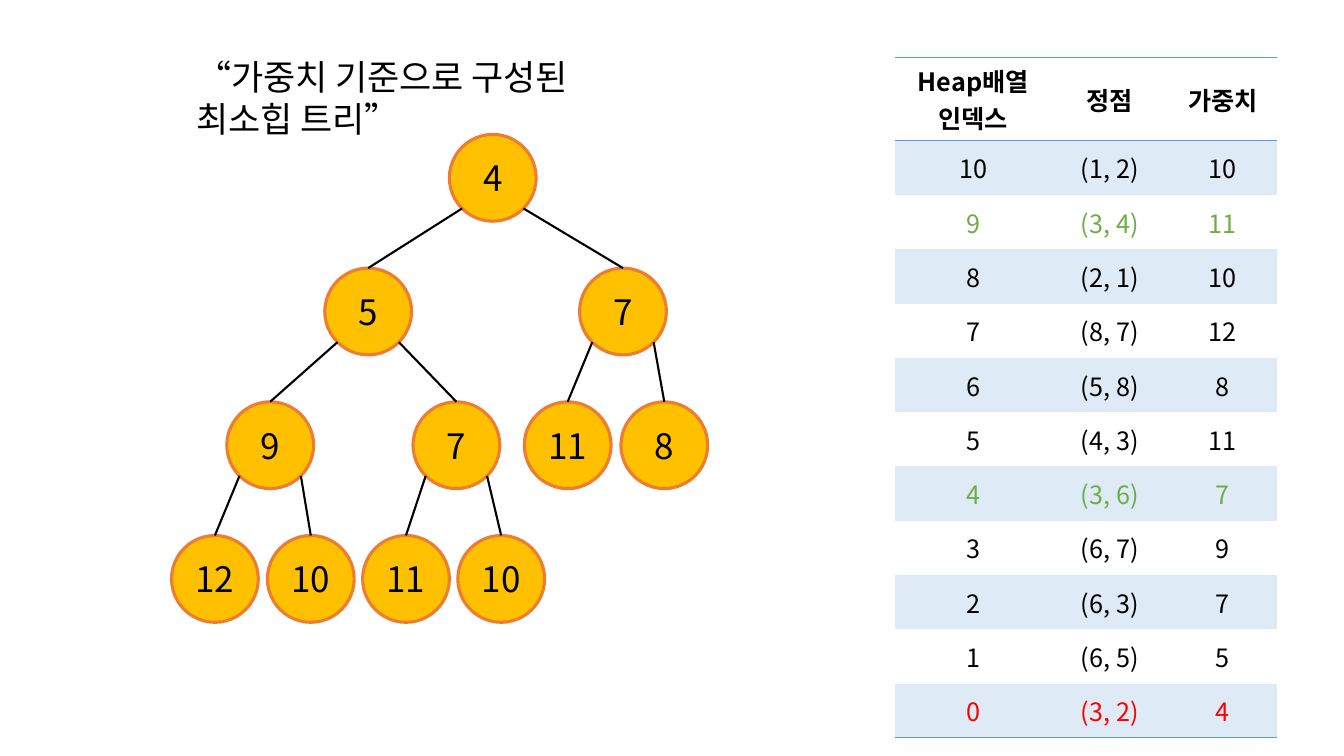
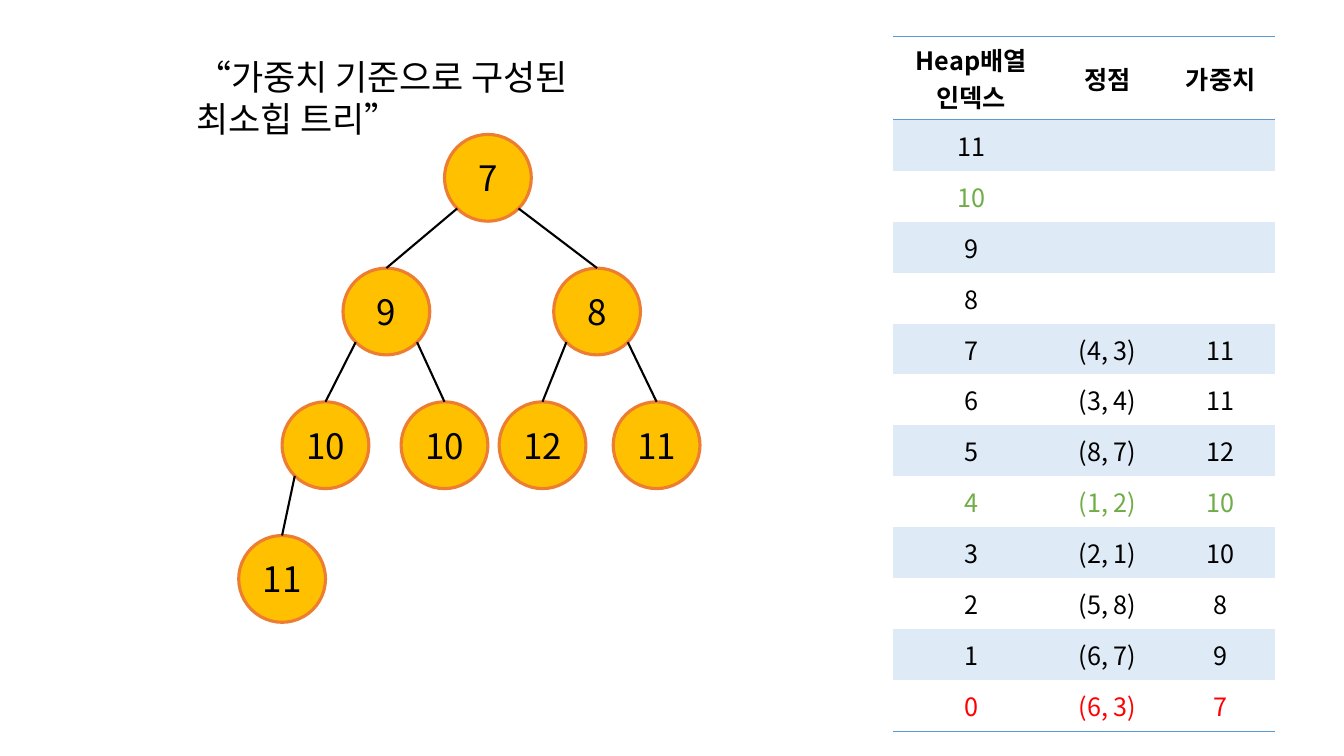
from lxml import etree
from pptx import Presentation
from pptx.dml.color import RGBColor
from pptx.enum import shapes, text
from pptx.oxml.ns import qn
from pptx.util import Pt

FONT = "Noto Sans CJK KR"
BLACK, RED, GREEN = "000000", "FF0000", "70AD47"
NODE_FILL, NODE_LINE = "FFC000", "ED7D31"
BAND, RULE = "DEEBF7", "5B9BD5"
NO_GRID_STYLE = "{2D5ABB26-0587-4C30-8999-92F81FD0307C}"

TITLE = "“가중치 기준으로 구성된 최소힙 트리”"
HEADINGS = ("Heap배열\n인덱스", "정점", "가중치")
COLUMN_WIDTHS = (111.5, 83.5, 78)
HEADER_HEIGHT = 59.5
DIAMETER, LEVEL_STEP = 62, 95.5

HEAPS = [
    {
        "entries": [("(3, 2)", 4), ("(6, 5)", 5), ("(6, 3)", 7), ("(6, 7)", 9),
                    ("(3, 6)", 7), ("(4, 3)", 11), ("(5, 8)", 8), ("(8, 7)", 12),
                    ("(2, 1)", 10), ("(3, 4)", 11), ("(1, 2)", 10)],
        "lefts": [199, 110, 292, 40, 173, 252.5, 321.5, 0.5, 69, 137, 205],
        "slots": 11, "green": (4, 9), "table_at": (639.5, 41), "row_height": 38.8,
    },
    {
        "entries": [("(6, 3)", 7), ("(6, 7)", 9), ("(5, 8)", 8), ("(2, 1)", 10),
                    ("(1, 2)", 10), ("(8, 7)", 12), ("(3, 4)", 11), ("(4, 3)", 11)],
        "lefts": [195.5, 123, 273.5, 79.5, 164.5, 234.5, 316, 48.5],
        "slots": 12, "green": (4, 10), "table_at": (638, 26), "row_height": 36.4,
    },
]


def rgb(value):
    """Turn a hex string into a colour."""
    return RGBColor.from_string(value)


def write(frame, content, size, color=BLACK, bold=False, align=text.PP_ALIGN.CENTER):
    """Fill a text frame with one uniform style."""
    frame.text = content
    for paragraph in frame.paragraphs:
        paragraph.alignment = align
        font = paragraph.font
        font.name, font.size, font.bold = FONT, Pt(size), bold
        font.color.rgb = rgb(color)
        properties = paragraph._p.pPr.find(qn("a:defRPr"))
        etree.SubElement(properties, qn("a:ea"), typeface=FONT)


def add_title(slide, left, top, width, height):
    """Place the quoted title."""
    frame = slide.shapes.add_textbox(Pt(left), Pt(top), Pt(width), Pt(height)).text_frame
    frame.word_wrap = True
    write(frame, TITLE, 25, align=text.PP_ALIGN.LEFT)
    frame.paragraphs[0].line_spacing = Pt(30)


def add_node(slide, left, top, weight):
    """Draw one tree node."""
    node = slide.shapes.add_shape(
        shapes.MSO_SHAPE.OVAL, Pt(left), Pt(top), Pt(DIAMETER), Pt(DIAMETER))
    node.shadow.inherit = False
    node.fill.solid()
    node.fill.fore_color.rgb = rgb(NODE_FILL)
    node.line.color.rgb = rgb(NODE_LINE)
    node.line.width = Pt(2.25)
    frame = node.text_frame
    frame.vertical_anchor = text.MSO_ANCHOR.MIDDLE
    frame.word_wrap = False
    write(frame, str(weight), 25)
    return node


def add_edge(slide, parent, child, side):
    """Link a parent's lower left (-1) or lower right (1) to a child's top."""
    radius = parent.width / 2
    reach = radius * 0.5 ** 0.5
    start_x = int(parent.left + radius + side * reach)
    start_y = int(parent.top + radius + reach)
    edge = slide.shapes.add_connector(
        shapes.MSO_CONNECTOR.STRAIGHT, start_x, start_y, child.left, child.top)
    edge.end_connect(child, 0)
    edge.line.color.rgb = rgb(BLACK)
    edge.line.width = Pt(1.5)
    etree.SubElement(edge._element.spPr, qn("a:effectLst"))


def add_tree(slide, left, top, heap):
    """Draw the heap as a binary tree, each parent at half its child's index."""
    nodes = []
    for index, (offset, (_, weight)) in enumerate(zip(heap["lefts"], heap["entries"])):
        level = (index + 1).bit_length() - 1
        node = add_node(slide, left + offset, top + level * LEVEL_STEP, weight)
        if index:
            add_edge(slide, nodes[(index - 1) // 2], node, -1 if index % 2 else 1)
        nodes.append(node)


def add_rules(cell, edges):
    """Draw thin border lines on the named edges of a cell."""
    properties = cell._tc.get_or_add_tcPr()
    for position, edge in enumerate(edges):
        line = etree.Element(qn(f"a:{edge}"), w=str(Pt(1)))
        fill = etree.SubElement(line, qn("a:solidFill"))
        etree.SubElement(fill, qn("a:srgbClr"), val=RULE)
        properties.insert(position, line)


def add_heap_table(slide, left, top, heap):
    """List the heap array from its last slot down to the root."""
    slots, row_height = heap["slots"], heap["row_height"]
    table = slide.shapes.add_table(
        slots + 1, 3, Pt(left), Pt(top), Pt(sum(COLUMN_WIDTHS)),
        Pt(HEADER_HEIGHT + slots * row_height)).table
    table._tbl.tblPr.find(qn("a:tableStyleId")).text = NO_GRID_STYLE
    for column, width in zip(table.columns, COLUMN_WIDTHS):
        column.width = Pt(width)
    rows = [HEADINGS]
    for index in reversed(range(slots)):
        filled = index < len(heap["entries"])
        rows.append((index, *(heap["entries"][index] if filled else ("", ""))))
    for number, values in enumerate(rows):
        table.rows[number].height = Pt(row_height if number else HEADER_HEIGHT)
        color = BLACK
        if values[0] == 0:
            color = RED
        elif values[0] in heap["green"]:
            color = GREEN
        for cell, value in zip(table.rows[number].cells, values):
            cell.vertical_anchor = text.MSO_ANCHOR.MIDDLE
            write(cell.text_frame, str(value), 18, color, bold=number == 0)
            if number % 2:
                cell.fill.solid()
                cell.fill.fore_color.rgb = rgb(BAND)
            else:
                cell.fill.background()
            if number == 0:
                add_rules(cell, ("lnT", "lnB"))
            elif number == slots:
                add_rules(cell, ("lnB",))


def add_heap_slide(deck, heap):
    """Build one slide with the heap's table, title and tree."""
    slide = deck.slides.add_slide(deck.slide_layouts[6])
    add_heap_table(slide, *heap["table_at"], heap)
    add_title(slide, 133, 36, 343, 37)
    add_tree(slide, 122, 96, heap)


def main():
    """Build and save the deck."""
    deck = Presentation()
    deck.slide_width, deck.slide_height = Pt(960), Pt(540)
    for heap in HEAPS:
        add_heap_slide(deck, heap)
    deck.save("out.pptx")


if __name__ == "__main__":
    main()
